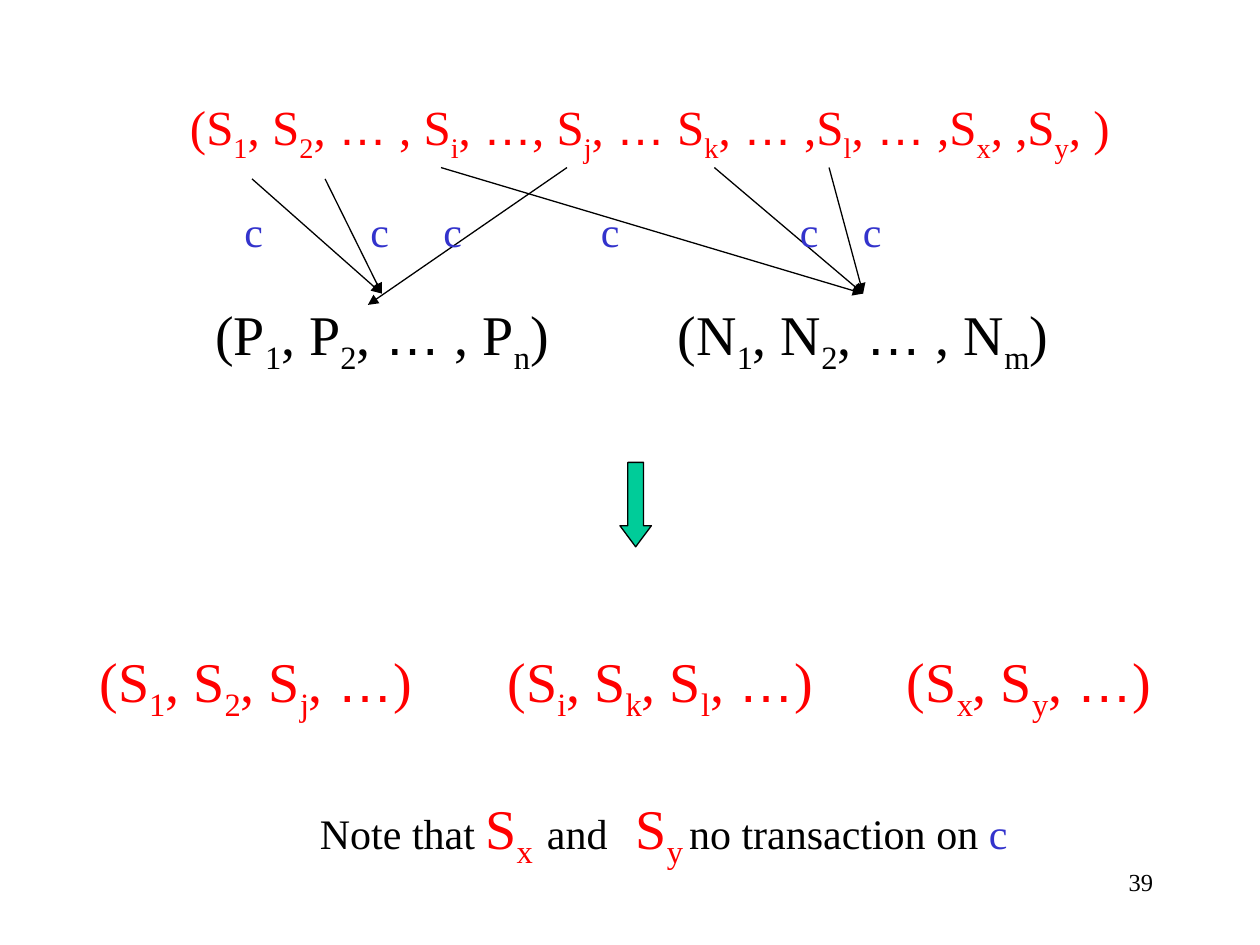
"""Build the slide on splitting a sequence by its transactions on c."""
from dataclasses import dataclass
from itertools import groupby

from lxml.etree import SubElement
from pptx import Presentation
from pptx.dml.color import RGBColor
from pptx.enum.shapes import MSO_CONNECTOR, MSO_SHAPE
from pptx.enum.text import MSO_AUTO_SIZE as AutoSize, PP_ALIGN as Align
from pptx.oxml.ns import qn
from pptx.util import Inches, Pt


@dataclass(frozen=True)
class Theme:
    font: str = "Times New Roman"
    ellipsis_font: str = "Arial"
    red: str = "FF0000"
    black: str = "000000"
    blue: str = "3333CC"
    green: str = "00CC99"
    large: int = 32
    medium: int = 28
    small: int = 24
    number: int = 14
    line: float = 0.75


THEME = Theme()

SEQUENCE = "(S_1, S_2, … , S_i, …, S_j, … S_k, … ,S_l, … ,S_x, ,S_y, )"
FORMULAS = [
    (SEQUENCE, 1.41, 0.72, 7.5, 0.63, THEME.medium, THEME.red),
    ("(P_1, P_2, … , P_n)", 1.61, 2.33, 2.87, 0.71, THEME.large, THEME.black),
    ("(N_1, N_2, … , N_m)", 5.28, 2.33, 3.14, 0.71, THEME.large, THEME.black),
    ("(S_1, S_2, S_j, …)", 0.69, 5.08, 2.68, 0.71, THEME.large, THEME.red),
    ("(S_i, S_k, S_l, …)", 3.93, 5.08, 2.62, 0.71, THEME.large, THEME.red),
    ("(S_x, S_y, …)", 7.1, 5.08, 2.14, 0.71, THEME.large, THEME.red),
]
NOTE = [
    ("Note that ", THEME.small, THEME.black, 0),
    ("S_x", THEME.large, THEME.red, 0),
    (" ", THEME.large, THEME.red, 0),
    ("and", THEME.small, THEME.black, 0),
    (" ", THEME.large, THEME.red, 8),
    ("S_y", THEME.large, THEME.red, 0),
    (" ", THEME.number, THEME.red, 0),
    ("no transaction on ", THEME.small, THEME.black, 0),
    ("c", THEME.small, THEME.blue, 0),
]
LABEL_LEFTS = [1.84, 2.84, 3.42, 4.67, 6.25, 6.75]
P_END, N_END = (3.03, 2.33), (6.85, 2.33)
ARROWS = [
    ((2, 1.42), P_END),
    ((2.58, 1.42), P_END),
    ((4.5, 1.33), (2.92, 2.42)),
    ((3.5, 1.33), N_END),
    ((5.67, 1.33), N_END),
    ((6.58, 1.33), N_END),
]


def rgb(value):
    return RGBColor.from_string(value)


def add_span(para, text, size, color, subscript=False, spacing=0):
    for is_ellipsis, letters in groupby(text, lambda letter: letter == "…"):
        span = para.add_run()
        span.text = "".join(letters)
        span.font.name = THEME.ellipsis_font if is_ellipsis else THEME.font
        span.font.size = Pt(size)
        span.font.color.rgb = rgb(color)
        properties = span.font._element
        if subscript:
            properties.set("baseline", "-25000")
        if spacing:
            properties.set("spc", str(spacing * 100))


def add_formula(para, text, size, color, spacing=0):
    """Write text in which the letter after an underscore is a subscript."""
    first, *parts = text.split("_")
    add_span(para, first, size, color, spacing=spacing)
    for part in parts:
        add_span(para, part[0], size, color, subscript=True)
        add_span(para, part[1:], size, color)


def add_text(page, left, top, width, height, pieces, wrap=False, align=Align.LEFT):
    box = page.shapes.add_textbox(*map(Inches, (left, top, width, height)))
    frame = box.text_frame
    frame.word_wrap = wrap
    frame.auto_size = AutoSize.NONE if wrap else AutoSize.SHAPE_TO_FIT_TEXT
    para = frame.paragraphs[0]
    para.alignment = align
    for piece in pieces:
        add_formula(para, *piece)


def add_arrow(page, start, end):
    arrow = page.shapes.add_connector(
        MSO_CONNECTOR.STRAIGHT, *map(Inches, (*start, *end)))
    arrow.line.color.rgb = rgb(THEME.black)
    arrow.line.width = Pt(THEME.line)
    SubElement(arrow.line._get_or_add_ln(), qn("a:tailEnd"), type="triangle")
    SubElement(arrow._element.spPr, qn("a:effectLst"))


def add_down_arrow(page):
    shape = page.shapes.add_shape(
        MSO_SHAPE.DOWN_ARROW, *map(Inches, (4.92, 3.67, 0.25, 0.67)))
    shape.adjustments[0] = 0.5
    shape.adjustments[1] = 0.67
    shape.shadow.inherit = False
    shape.fill.solid()
    shape.fill.fore_color.rgb = rgb(THEME.green)
    shape.line.color.rgb = rgb(THEME.black)
    shape.line.width = Pt(THEME.line)


def main():
    deck = Presentation()
    deck.slide_width, deck.slide_height = Inches(10), Inches(7.5)
    page = deck.slides.add_slide(deck.slide_layouts[6])
    for text, left, top, width, height, size, color in FORMULAS:
        add_text(page, left, top, width, height, [(text, size, color)])
    for start, end in ARROWS:
        add_arrow(page, start, end)
    for left in LABEL_LEFTS:
        add_text(page, left, 1.58, 0.35, 0.5, [("c", THEME.small, THEME.blue)])
    add_down_arrow(page)
    add_text(page, 2.44, 6.25, 5.69, 0.71, NOTE)
    add_text(page, 7.17, 6.83, 2.08, 0.5, [("39", THEME.number, THEME.black)],
             wrap=True, align=Align.RIGHT)
    deck.save("out.pptx")


if __name__ == "__main__":
    main()
